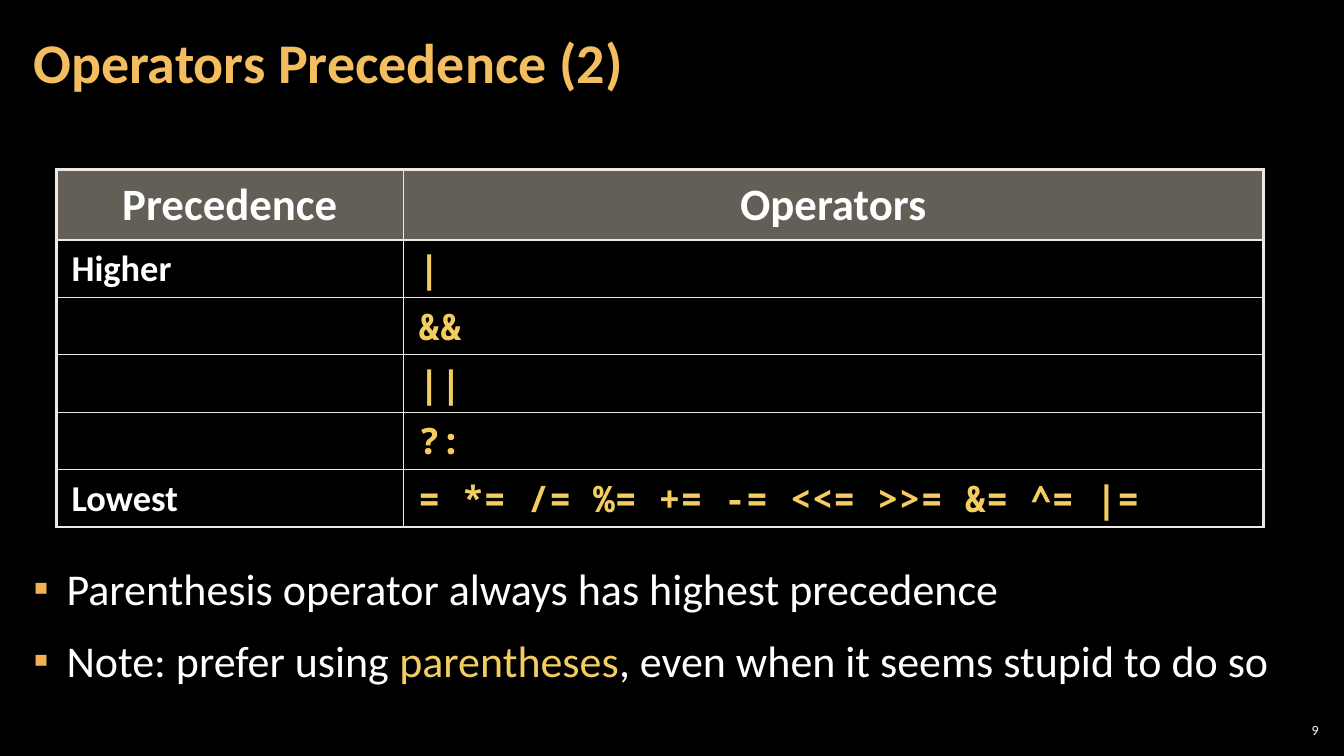
from lxml import etree
from pptx import Presentation
from pptx.dml.color import RGBColor
from pptx.enum.text import MSO_ANCHOR, MSO_AUTO_SIZE, PP_ALIGN
from pptx.oxml.ns import qn
from pptx.util import Inches, Pt

LEFT, CENTER, RIGHT = PP_ALIGN.LEFT, PP_ALIGN.CENTER, PP_ALIGN.RIGHT
TOP, MIDDLE = MSO_ANCHOR.TOP, MSO_ANCHOR.MIDDLE
NO_FIT = MSO_AUTO_SIZE.NONE

COLORS = {
    "background": "000000",
    "text": "FFFFFF",
    "title": "F3BE60",
    "accent": "F3CD60",
    "bullet": "F2B254",
    "header": "C7BFAC",
    "border": "ECEAE3",
}
BODY_FONT, CODE_FONT = "Calibri", "Noto Sans Mono"
THICK, THIN = 2.25, 1

PRECEDENCE_ROWS = [
    ("Precedence", "Operators"),
    ("Higher", "|"),
    ("", "&&"),
    ("", "||"),
    ("", "?:"),
    ("Lowest", "= *= /= %= += -= <<= >>= &= ^= |="),
]
BULLETS = [
    [("Parenthesis operator always has highest precedence", "text")],
    [
        ("Note: prefer using ", "text"),
        ("parentheses", "accent"),
        (", even when it seems stupid to do so", "text"),
    ],
]


def rgb(name):
    return RGBColor.from_string(COLORS[name])


class SlideBuilder:
    def __init__(self, prs):
        self.slide = prs.slides.add_slide(prs.slide_layouts[1])
        fill = self.slide.background.fill
        fill.solid()
        fill.fore_color.rgb = rgb("background")

    def format_run(self, r, size, color, bold=False, font=BODY_FONT):
        r.font.size = Pt(size)
        r.font.name = font
        r.font.bold = bold
        r.font.color.rgb = rgb(color)

    def place(self, sp, left, top, width, height, anchor, margin_x):
        """Position a text shape and return its prepared text frame."""
        sp.left, sp.top = Inches(left), Inches(top)
        sp.width, sp.height = Inches(width), Inches(height)
        tf = sp.text_frame
        tf.word_wrap = True
        tf.auto_size = NO_FIT
        tf.vertical_anchor = anchor
        tf.margin_left = tf.margin_right = Inches(margin_x)
        tf.margin_top = tf.margin_bottom = Inches(0.04)
        return tf

    def title(self, text):
        tf = self.place(self.slide.shapes.title, 0.21, 0.04, 10.47, 1.21, MIDDLE, 0.12)
        tf.text = text
        p = tf.paragraphs[0]
        p.alignment = LEFT
        p.line_spacing = 0.9
        self.format_run(p.runs[0], 40, "title", bold=True)

    def bullets(self, items):
        tf = self.place(self.slide.placeholders[1], 0.21, 5.5, 12.91, 1.85, TOP, 0.12)
        for i, parts in enumerate(items):
            p = tf.add_paragraph() if i else tf.paragraphs[0]
            p.line_spacing = 1.05
            p.space_before = p.space_after = Pt(6)
            self.bullet_mark(p)
            for text, color in parts:
                r = p.add_run()
                r.text = text
                self.format_run(r, 31.4, color)

    def bullet_mark(self, p):
        pPr = p._p.get_or_add_pPr()
        pPr.set("marL", str(Inches(0.33)))
        pPr.set("indent", str(-Inches(0.33)))
        buClr = etree.SubElement(pPr, qn("a:buClr"))
        etree.SubElement(buClr, qn("a:srgbClr"), val=COLORS["bullet"])
        etree.SubElement(pPr, qn("a:buChar"), char="▪")

    def slide_number(self, number):
        sp = self.slide.shapes.add_textbox(0, 0, 0, 0)
        tf = self.place(sp, 12.65, 7.14, 0.47, 0.21, MIDDLE, 0.04)
        tf.text = str(number)
        p = tf.paragraphs[0]
        p.alignment = RIGHT
        self.format_run(p.runs[0], 10, "text")

    def table(self, rows, widths, header_height, row_height):
        height = header_height + row_height * (len(rows) - 1)
        frame = self.slide.shapes.add_table(
            len(rows), len(widths), Inches(0.56), Inches(1.68),
            Inches(sum(widths)), Inches(height))
        table = frame.table
        table.first_row = table.horz_banding = False
        for column, width in zip(table.columns, widths):
            column.width = Inches(width)
        for i, texts in enumerate(rows):
            table.rows[i].height = Inches(row_height if i else header_height)
            for j, text in enumerate(texts):
                self.cell(table.cell(i, j), text, is_header=i == 0, is_code=i > 0 and j == 1)
                self.borders(table.cell(i, j), {
                    "lnL": THIN if j else THICK,
                    "lnR": THICK if j == len(widths) - 1 else THIN,
                    "lnT": THICK if i < 2 else THIN,
                    "lnB": THIN if i else THICK,
                })

    def cell(self, cell, text, is_header, is_code):
        cell.margin_left = cell.margin_right = Inches(0.15)
        cell.margin_top = cell.margin_bottom = Inches(0.05)
        cell.vertical_anchor = TOP if is_code else MIDDLE
        if is_header:
            cell.fill.solid()
            cell.fill.fore_color.rgb = rgb("header")
            color = cell._tc.tcPr.find(".//" + qn("a:srgbClr"))
            etree.SubElement(color, qn("a:alpha"), val="50000")
        else:
            cell.fill.background()
        cell.text_frame.text = text
        p = cell.text_frame.paragraphs[0]
        p.alignment = CENTER if is_header else LEFT
        p.line_spacing = 0.95
        for r in p.runs:
            self.format_run(r, 32 if is_header else 26, "accent" if is_code else "text",
                            bold=True, font=CODE_FONT if is_code else BODY_FONT)

    def borders(self, cell, widths):
        """Draw cell edges; the line elements must precede the fill."""
        tcPr = cell._tc.get_or_add_tcPr()
        for position, (tag, width) in enumerate(widths.items()):
            ln = etree.Element(qn("a:" + tag), w=str(Pt(width)))
            fill = etree.SubElement(ln, qn("a:solidFill"))
            etree.SubElement(fill, qn("a:srgbClr"), val=COLORS["border"])
            tcPr.insert(position, ln)


def main():
    prs = Presentation()
    prs.slide_width, prs.slide_height = Inches(13.33), Inches(7.5)
    s = SlideBuilder(prs)
    s.slide_number(9)
    s.bullets(BULLETS)
    s.title("Operators Precedence (2)")
    s.table(PRECEDENCE_ROWS, widths=(3.44, 8.53), header_height=0.7, row_height=0.57)
    prs.save("out.pptx")


if __name__ == "__main__":
    main()
